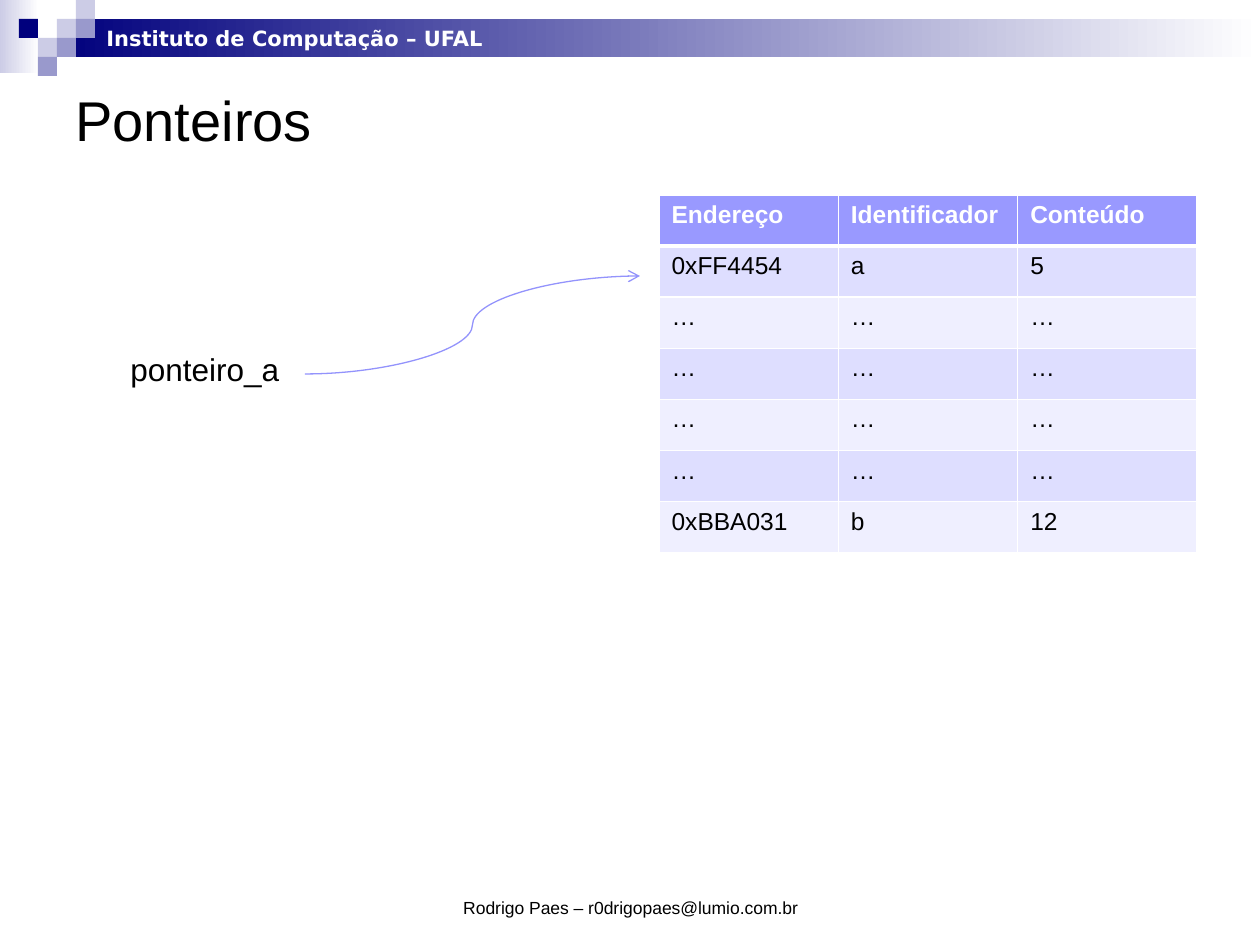
from lxml import etree
from pptx import Presentation
from pptx import util as u
from pptx.dml.color import RGBColor
from pptx.enum import shapes, text
from pptx.oxml import ns

PX = 914400 / 126
COLORS = {
    "navy": "00007D", "lilac": "CCCCE6", "violet": "9999CC",
    "white": "FFFFFF", "black": "000000", "header": "9999FF",
    "odd": "DEDEFF", "even": "EFEFFF", "arrow": "9393FC",
}


def px(*lengths):
    return [u.Emu(round(n * PX)) for n in lengths]


def rgb(name):
    return RGBColor.from_string(COLORS[name])


def style(p, size, color, bold=False, font="Arial"):
    p.font.size = u.Pt(size)
    p.font.name = font
    p.font.bold = bold
    p.font.color.rgb = rgb(color)


def add_rect(s, box, *colors):
    sp = s.shapes.add_shape(shapes.MSO_SHAPE.RECTANGLE, *px(*box))
    sp.shadow.inherit = False
    sp.line.fill.background()
    if len(colors) == 1:
        sp.fill.solid()
        sp.fill.fore_color.rgb = rgb(colors[0])
    else:
        sp.fill.gradient()
        sp.fill.gradient_angle = 0
        for stop, color in zip(sp.fill.gradient_stops, colors):
            stop.color.rgb = rgb(color)


def add_text(s, box, words, size, color="black", bold=False, font="Arial",
             wrap=True, anchor=text.MSO_ANCHOR.TOP, align=text.PP_ALIGN.LEFT):
    tf = s.shapes.add_textbox(*px(*box)).text_frame
    tf.word_wrap = wrap
    tf.vertical_anchor = anchor
    p = tf.paragraphs[0]
    p.text = words
    p.alignment = align
    style(p, size, color, bold, font)


def add_banner(s, box):
    left, top, width, height = box
    step = 19
    add_rect(s, (left, top, 39, height), "lilac", "white")
    add_rect(s, (left + 3 * step, top + step, width - 3 * step, 2 * step),
             "navy", "white")
    squares = [(3, 1, "lilac"), (4, 0, "lilac"), (4, 1, "violet"),
               (2, 2, "lilac"), (1, 1, "navy"), (3, 2, "violet"),
               (2, 3, "violet")]
    for col, row, color in squares:
        add_rect(s, (left + col * step, top + row * step, step, step), color)
    add_text(s, (left + 94, top + step, 408, 2 * step),
             "Instituto de Computação – UFAL", 12, "white", True,
             "DejaVu Sans", wrap=False)


def set_borders(cell, bottom):
    tcPr = cell._tc.get_or_add_tcPr()
    for i, (side, width) in enumerate(
            [("L", 1), ("R", 1), ("T", 1), ("B", bottom)]):
        ln = etree.Element(ns.qn(f"a:ln{side}"), w=str(u.Pt(width)))
        fill = etree.SubElement(ln, ns.qn("a:solidFill"))
        etree.SubElement(fill, ns.qn("a:srgbClr"), val=COLORS["white"])
        tcPr.insert(i, ln)


def add_memory_table(s, box):
    rows = [("Endereço", "Identificador", "Conteúdo"),
            ("0xFF4454", "a", "5"),
            *[("…",) * 3] * 4,
            ("0xBBA031", "b", "12")]
    table = s.shapes.add_table(len(rows), len(rows[0]), *px(*box)).table
    for r, row in enumerate(rows):
        header = r == 0
        fill = "header" if header else "odd" if r % 2 else "even"
        for c, words in enumerate(row):
            cell = table.cell(r, c)
            cell.text = words
            cell.fill.solid()
            cell.fill.fore_color.rgb = rgb(fill)
            set_borders(cell, 3 if r == 0 else 1)
            style(cell.text_frame.paragraphs[0], 14,
                  "white" if header else "black", header)


def add_pointer(s, box):
    left, top, width, height = box
    add_text(s, (left, top + height - 30, 175, 50), "ponteiro_a", 18,
             wrap=False)
    line = s.shapes.add_connector(
        shapes.MSO_CONNECTOR.CURVE,
        *px(left + 187, top + height, left + width, top))
    line.line.color.rgb = rgb("arrow")
    line.line.width = u.Pt(0.75)
    etree.SubElement(line.line._get_or_add_ln(), ns.qn("a:tailEnd"),
                     type="arrow")
    etree.SubElement(line._element.spPr, ns.qn("a:effectLst"))


def main():
    prs = Presentation()
    prs.slide_width, prs.slide_height = px(1260, 945)
    s = prs.slides.add_slide(prs.slide_layouts[6])
    add_banner(s, (0, 0, 1260, 73))
    add_text(s, (63, 63, 1134, 112), "Ponteiros", 32,
             anchor=text.MSO_ANCHOR.MIDDLE)
    add_memory_table(s, (659, 195, 538, 358))
    add_text(s, (431, 861, 399, 63), "Rodrigo Paes – r0drigopaes@lumio.com.br",
             10, anchor=text.MSO_ANCHOR.BOTTOM, align=text.PP_ALIGN.CENTER)
    add_pointer(s, (118, 276, 522, 98))
    prs.save("out.pptx")


if __name__ == "__main__":
    main()
